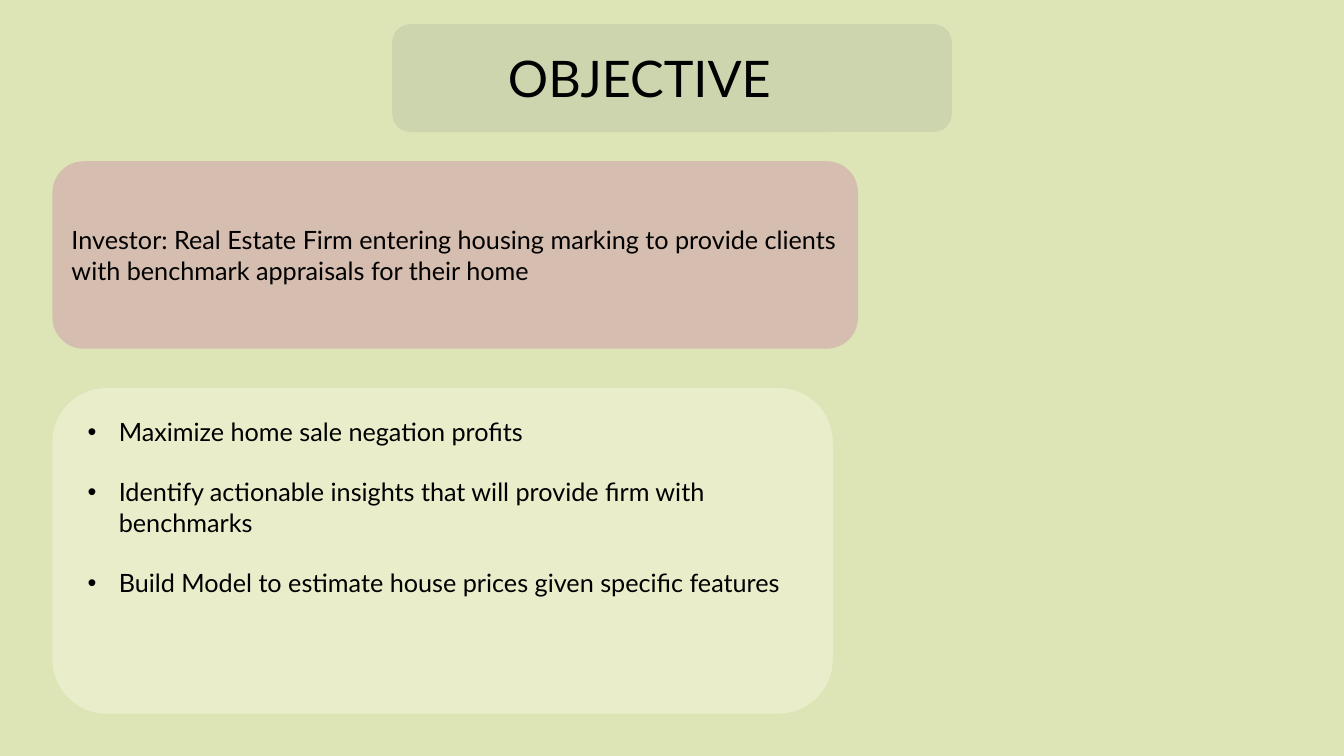
from lxml import etree
from pptx import Presentation
from pptx.dml.color import RGBColor
from pptx.enum.shapes import MSO_SHAPE
from pptx.enum.text import MSO_ANCHOR, PP_ALIGN
from pptx.oxml.ns import qn
from pptx.util import Inches, Pt

RECTANGLE = MSO_SHAPE.RECTANGLE
ROUNDED = MSO_SHAPE.ROUNDED_RECTANGLE
MIDDLE = MSO_ANCHOR.MIDDLE
LEFT = PP_ALIGN.LEFT

WIDTH, HEIGHT = 13.33, 7.5
FONT = "Lato"
BODY_SIZE = 18
BULLET_INDENT = 0.31

INVESTOR = ("Investor: Real Estate Firm entering housing marking to provide "
            "clients with benchmark appraisals for their home")
GOALS = [
    "Maximize home sale negation profits",
    "Identify actionable insights that will provide firm with benchmarks",
    "Build Model to estimate house prices given specific features",
]


def color(value):
    return RGBColor.from_string(value)


def add_panel(page, box, fill, kind=ROUNDED):
    panel = page.shapes.add_shape(kind, *map(Inches, box))
    panel.shadow.inherit = False
    panel.fill.solid()
    panel.fill.fore_color.rgb = color(fill)
    panel.line.fill.background()
    return panel


def add_text_frame(page, box):
    frame = page.shapes.add_textbox(*map(Inches, box)).text_frame
    frame.word_wrap = True
    return frame


def add_span(para, text, size=BODY_SIZE):
    para.alignment = LEFT
    span = para.add_run()
    span.text = text
    span.font.name = FONT
    span.font.size = Pt(size)
    span.font.color.rgb = color("000000")


def add_bullet(para):
    """Give the paragraph a hanging bullet."""
    properties = para._p.get_or_add_pPr()
    properties.set("marL", str(Inches(BULLET_INDENT)))
    properties.set("indent", str(-Inches(BULLET_INDENT)))
    etree.SubElement(properties, qn("a:buFont")).set("typeface", "Arial")
    etree.SubElement(properties, qn("a:buChar")).set("char", "•")


def add_title(page, box):
    left, top, width, height = box
    add_panel(page, box, "CCD5AE")
    frame = add_text_frame(page, (left + 1.05, top + 0.18, 7.23, 0.71))
    add_span(frame.paragraphs[0], "OBJECTIVE", 36)


def add_goals(page, box):
    left, top, width, height = box
    add_panel(page, box, "E9EDC9")
    inset = 0.25
    frame = add_text_frame(
        page, (left + inset, top + 0.23, width - inset, height - 2 * inset))
    for index, goal in enumerate(GOALS):
        para = frame.add_paragraph() if index else frame.paragraphs[0]
        add_span(para, goal)
        if index < len(GOALS) - 1:
            para.space_after = Pt(1.2 * BODY_SIZE)
        add_bullet(para)


def add_investor(page, box):
    frame = add_panel(page, box, "D5BDAF").text_frame
    frame.word_wrap = True
    frame.vertical_anchor = MIDDLE
    add_span(frame.paragraphs[0], INVESTOR)


def main():
    deck = Presentation()
    deck.slide_width, deck.slide_height = Inches(WIDTH), Inches(HEIGHT)
    page = deck.slides.add_slide(deck.slide_layouts[6])
    margin = 0.52
    title_width = 5.55
    add_panel(page, (0, 0, WIDTH, HEIGHT), "DDE5B6", RECTANGLE)
    add_title(page, ((WIDTH - title_width) / 2, 0.24, title_width, 1.07))
    add_goals(page, (margin, 3.85, 7.74, 3.23))
    add_investor(page, (margin, 1.6, 7.99, 1.86))
    deck.save("out.pptx")


if __name__ == "__main__":
    main()
